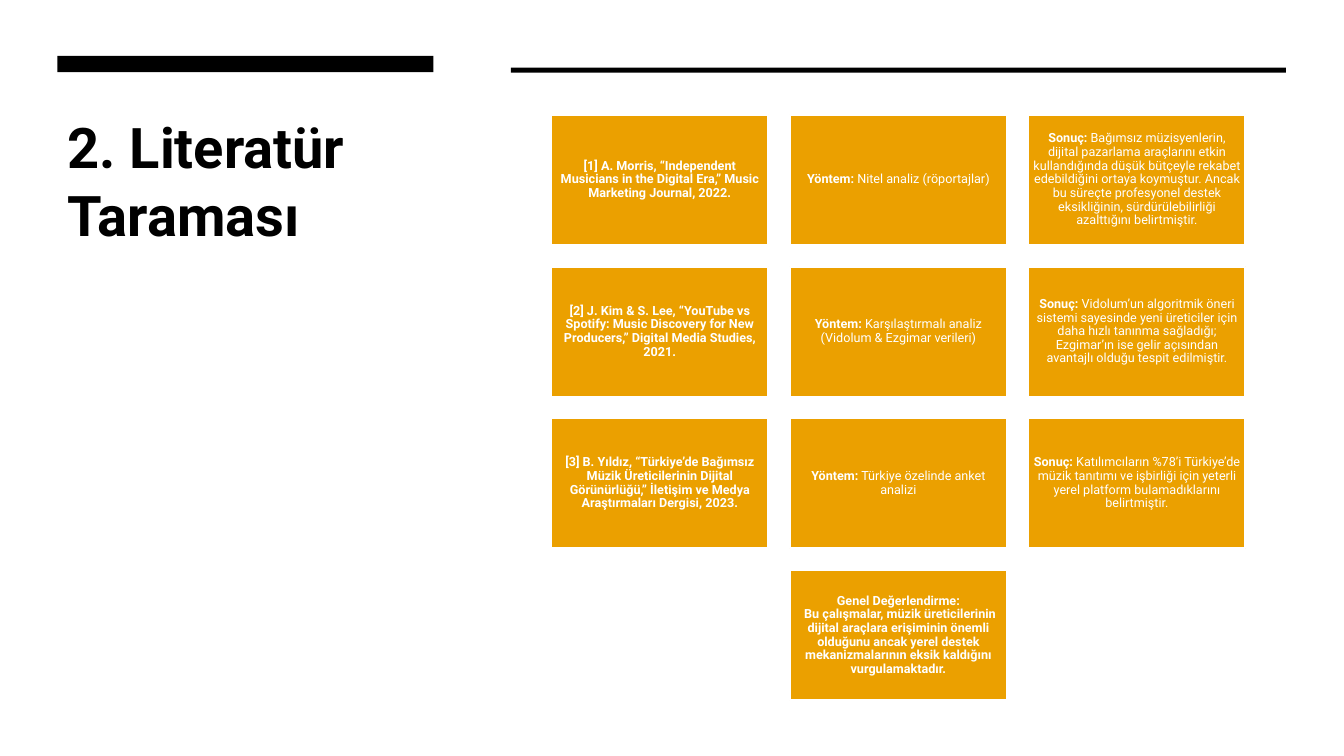
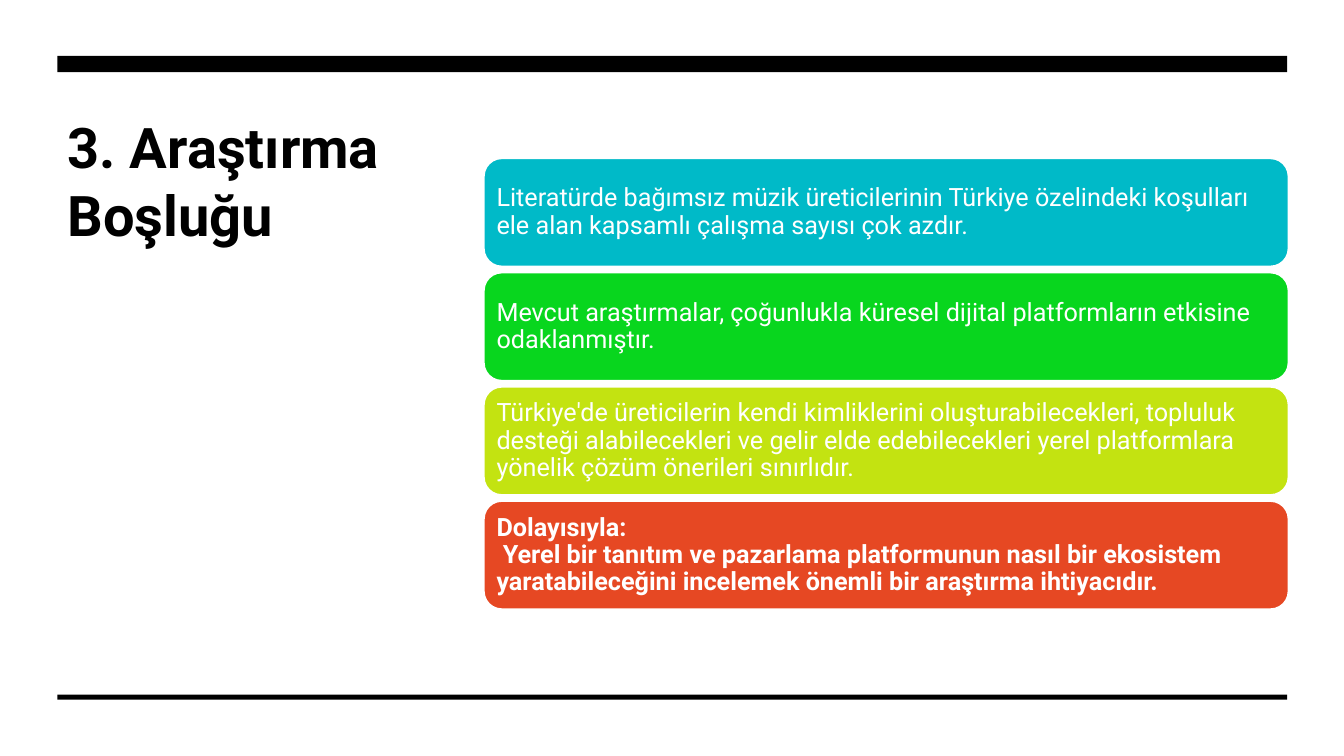
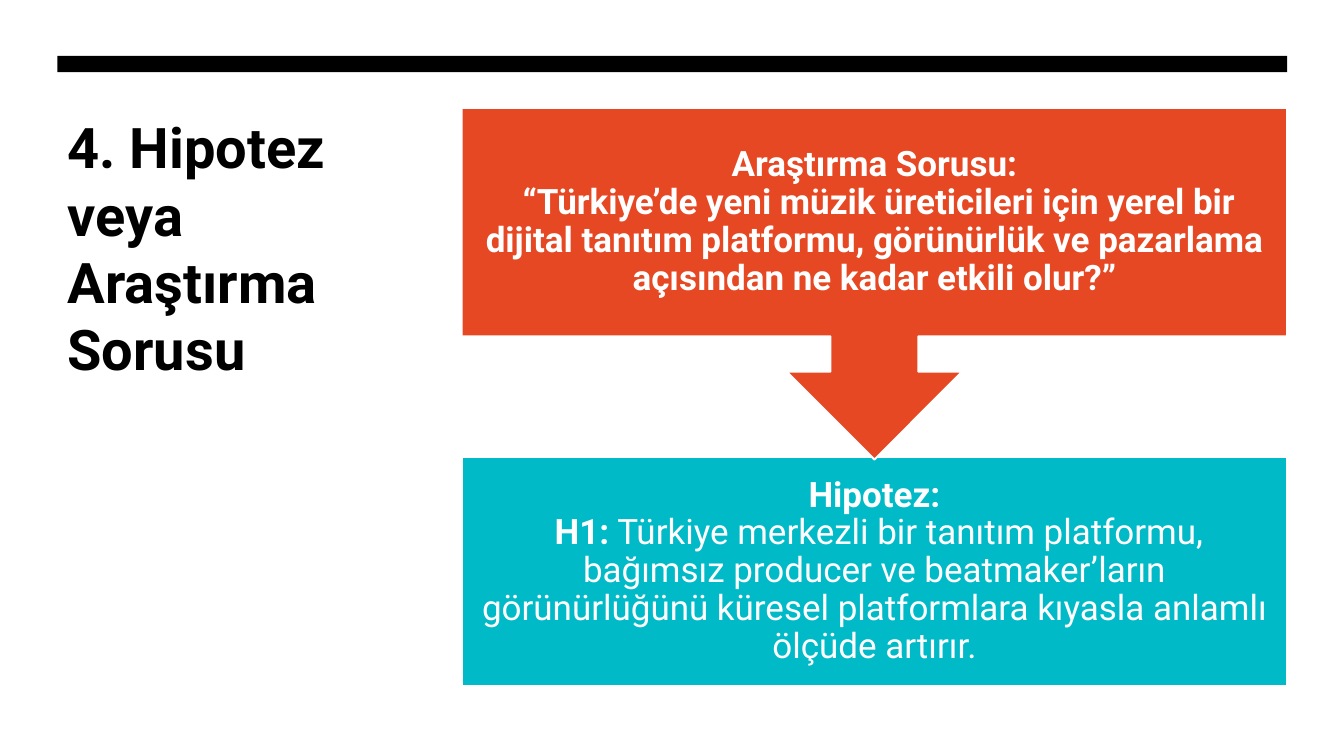
from pptx import Presentation
from pptx.dml.color import RGBColor
from pptx.enum.shapes import MSO_SHAPE
from pptx.enum.text import MSO_ANCHOR, MSO_AUTO_SIZE, PP_ALIGN
from pptx.util import Pt

BLACK = RGBColor(0x00, 0x00, 0x00)
WHITE = RGBColor(0xFF, 0xFF, 0xFF)
AMBER = RGBColor(0xEB, 0xA0, 0x00)
TEAL = RGBColor(0x00, 0xBA, 0xC8)
GREEN = RGBColor(0x08, 0xD6, 0x1E)
LIME = RGBColor(0xC3, 0xE3, 0x11)
RED = RGBColor(0xE6, 0x48, 0x23)


def write(par, text, size=18, color=WHITE, bold=False, font="Roboto"):
    """Add text to a paragraph; a newline becomes a line break."""
    for i, line in enumerate(text.split("\n")):
        if i:
            par.add_line_break()
        run = par.add_run()
        run.text = line
        run.font.name = font
        run.font.size = Pt(size)
        run.font.bold = bold
        run.font.color.rgb = color


class Deck:
    LEFT, TOP, WIDE = 41, 40, 878.4
    HEAD = 77

    def __init__(self):
        self.prs = Presentation()
        self.prs.slide_width, self.prs.slide_height = Pt(960), Pt(540)
        self.slide = None

    def page(self, title, bar=WIDE, width=248.4, height=320.4):
        """Start a slide with its thick top bar and title."""
        self.slide = self.prs.slides.add_slide(self.prs.slide_layouts[5])
        self.band(self.LEFT, self.TOP, bar, 11.6)
        head = self.slide.shapes.title
        head.left, head.top = Pt(self.LEFT), Pt(self.HEAD)
        head.width, head.height = Pt(width), Pt(height)
        frame = head.text_frame
        frame.word_wrap = True
        frame.auto_size = MSO_AUTO_SIZE.NONE
        frame.vertical_anchor = MSO_ANCHOR.TOP
        par = frame.paragraphs[0]
        par.alignment = PP_ALIGN.LEFT
        write(par, title, size=40, color=BLACK, bold=True)

    def shape(self, kind, x, y, w, h, fill):
        item = self.slide.shapes.add_shape(kind, Pt(x), Pt(y), Pt(w), Pt(h))
        item.shadow.inherit = False
        item.fill.solid()
        item.fill.fore_color.rgb = fill
        return item

    def band(self, x, y, w, h=3.6):
        self.shape(MSO_SHAPE.RECTANGLE, x, y, w, h, BLACK).line.fill.background()

    def card(self, x, y, w, h, fill, lead="", text="", size=18, inset=5.4,
             align=PP_ALIGN.CENTER, kind=MSO_SHAPE.RECTANGLE):
        """Draw a filled box with a bold lead and plain text."""
        box = self.shape(kind, x, y, w, h, fill)
        box.line.color.rgb = WHITE
        box.line.width = Pt(1.5)
        frame = box.text_frame
        frame.word_wrap = True
        frame.vertical_anchor = MSO_ANCHOR.MIDDLE
        frame.margin_left = frame.margin_right = Pt(inset)
        frame.margin_top = frame.margin_bottom = Pt(inset)
        par = frame.paragraphs[0]
        par.alignment = align
        par.line_spacing = 0.9
        if lead:
            write(par, lead, size=size, bold=True)
        if text:
            write(par, text, size=size)


def review(deck):
    deck.page("2. Literatür Taraması", bar=268.6, width=268.6, height=423.4)
    deck.band(365, 48.3, 553.6)

    # Rows of source, method and result
    rows = [
        [("[1] A. Morris, “Independent Musicians in the Digital Era,” "
          "Music Marketing Journal, 2022.", ""),
         ("Yöntem:", " Nitel analiz (röportajlar)"),
         ("Sonuç:", " Bağımsız müzisyenlerin, dijital pazarlama araçlarını etkin "
          "kullandığında düşük bütçeyle rekabet edebildiğini ortaya koymuştur. "
          "Ancak bu süreçte profesyonel destek eksikliğinin, "
          "sürdürülebilirliği azalttığını belirtmiştir.")],
        [("[2] J. Kim & S. Lee, “YouTube vs Spotify: Music Discovery for New "
          "Producers,” Digital Media Studies, 2021.", ""),
         ("Yöntem:", " Karşılaştırmalı analiz (Vidolum & Ezgimar verileri)"),
         ("Sonuç:", " Vidolum’un algoritmik öneri sistemi sayesinde yeni "
          "üreticiler için daha hızlı tanınma sağladığı; Ezgimar’ın ise gelir "
          "açısından avantajlı olduğu tespit edilmiştir.")],
        [("[3] B. Yıldız, “Türkiye’de Bağımsız Müzik Üreticilerinin Dijital "
          "Görünürlüğü,” İletişim ve Medya Araştırmaları Dergisi, 2023.", ""),
         ("Yöntem:", " Türkiye özelinde anket analizi"),
         ("Sonuç:", " Katılımcıların %78’i Türkiye’de müzik tanıtımı ve "
          "işbirliği için yeterli yerel platform bulamadıklarını "
          "belirtmiştir.")],
        [("Genel Değerlendirme:\n Bu çalışmalar, müzik üreticilerinin dijital "
          "araçlara erişiminin önemli olduğunu ancak yerel destek "
          "mekanizmalarının eksik kaldığını vurgulamaktadır.", "")],
    ]
    left, top, w, h, gap, cols = 393.8, 82, 154.9, 92.9, 15.5, 3
    for r, row in enumerate(rows):
        # A short row is centred in the grid
        shift = (cols - len(row)) / 2
        for c, (lead, text) in enumerate(row):
            deck.card(left + (c + shift) * (w + gap), top + r * (h + gap), w, h,
                      AMBER, lead, text, size=9, inset=2.7)


def gaps(deck):
    deck.page("3. Araştırma Boşluğu")
    deck.band(deck.LEFT, 496.1, deck.WIDE)

    # Stack of rounded cards
    cards = [
        (TEAL, "", "Literatürde bağımsız müzik üreticilerinin Türkiye özelindeki "
         "koşulları ele alan kapsamlı çalışma sayısı çok azdır."),
        (GREEN, "", "Mevcut araştırmalar, çoğunlukla küresel dijital "
         "platformların etkisine odaklanmıştır."),
        (LIME, "", "Türkiye'de üreticilerin kendi kimliklerini "
         "oluşturabilecekleri, topluluk desteği alabilecekleri ve gelir elde "
         "edebilecekleri yerel platformlara yönelik çözüm önerileri sınırlıdır."),
        (RED, "Dolayısıyla:\n Yerel bir tanıtım ve pazarlama platformunun nasıl "
         "bir ekosistem yaratabileceğini incelemek önemli bir araştırma "
         "ihtiyacıdır.", ""),
    ]
    for i, (fill, lead, text) in enumerate(cards):
        deck.card(345.5, 113 + i * 81.6, 575, 77.5, fill, lead, text,
                  align=PP_ALIGN.LEFT, kind=MSO_SHAPE.ROUNDED_RECTANGLE)


def thesis(deck):
    deck.page("4. Hipotez veya Araştırma Sorusu")

    # Hypothesis, then the question whose arrow points to it
    left, wide = 329.8, 589.6
    deck.card(left, 326.4, wide, 163.4, TEAL, "Hipotez:\n H1:",
              " Türkiye merkezli bir tanıtım platformu, bağımsız producer ve "
              "beatmaker’ların görünürlüğünü küresel platformlara kıyasla "
              "anlamlı ölçüde artırır.", size=25, inset=14)
    deck.card(left, deck.HEAD, wide, 251.3, RED,
              "Araştırma Sorusu:\n “Türkiye’de yeni müzik üreticileri için yerel "
              "bir dijital tanıtım platformu, görünürlük ve pazarlama açısından "
              "ne kadar etkili olur?”", size=25, inset=14,
              kind=MSO_SHAPE.DOWN_ARROW_CALLOUT)


def main():
    deck = Deck()
    for build in (review, gaps, thesis):
        build(deck)
    deck.prs.save("out.pptx")


if __name__ == "__main__":
    main()
